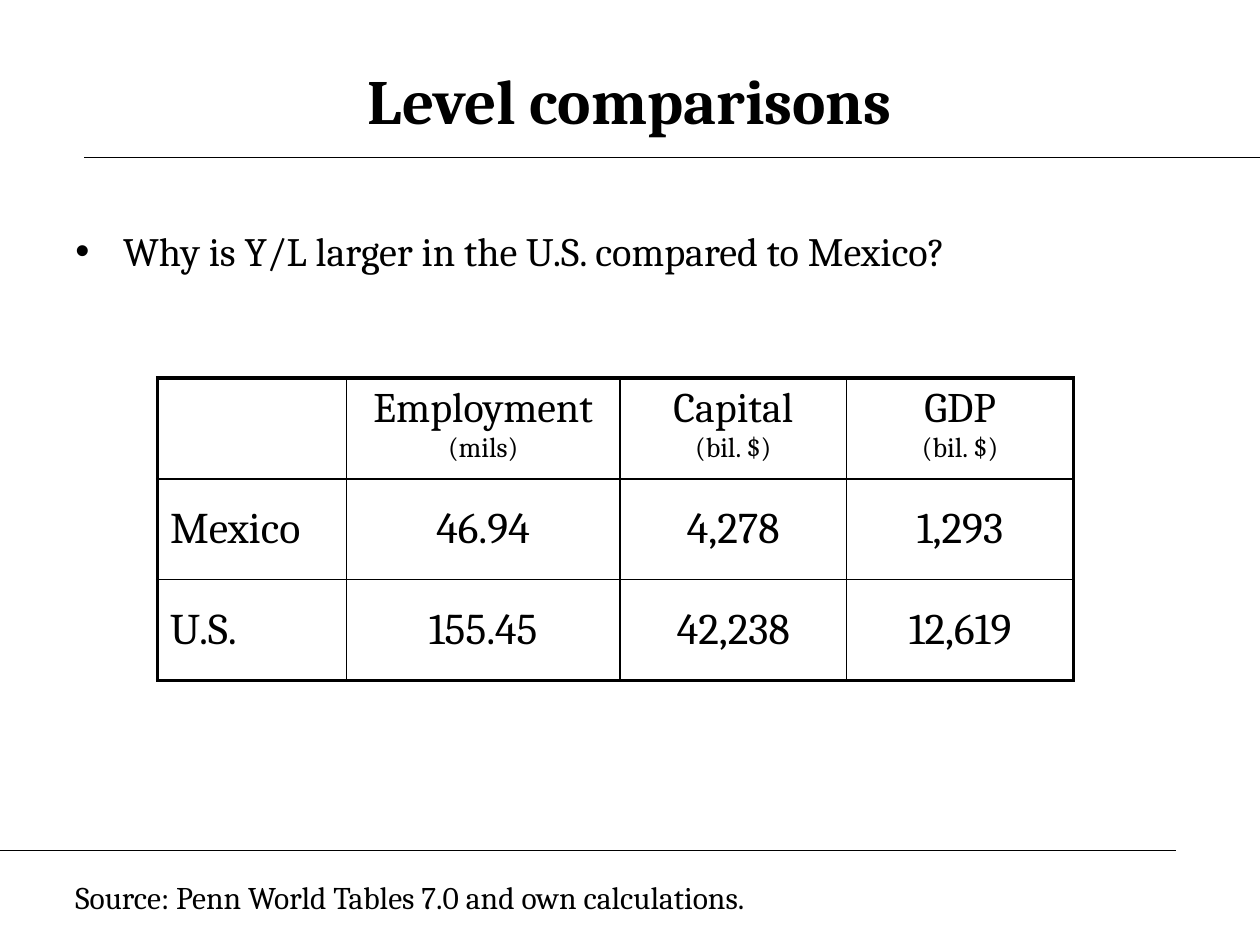
from pptx import Presentation
from pptx.dml.color import RGBColor
from pptx.enum.shapes import MSO_CONNECTOR as Connector
from pptx.enum.text import MSO_ANCHOR as Anchor, PP_ALIGN as Align
from pptx.oxml.ns import qn
from pptx.util import Inches, Pt
from lxml.etree import SubElement

BLACK = RGBColor(0x00, 0x00, 0x00)
FONT = "Cambria"
THIN, THICK = 1, 2.25

COLUMN_WIDTHS = [1.5, 2.17, 1.8, 1.8]
ROW_HEIGHT = 0.8
HEADINGS = [None, ("Employment", "(mils)"), ("Capital", "(bil. $)"), ("GDP", "(bil. $)")]
DATA = [
    ["Mexico", "46.94", "4,278", "1,293"],
    ["U.S.", "155.45", "42,238", "12,619"],
]


def add_text(paragraph, text, size=18, bold=False, align=Align.LEFT):
    paragraph.alignment = align
    run = paragraph.add_run()
    run.text = text
    run.font.name = FONT
    run.font.size = Pt(size)
    run.font.bold = bold
    run.font.color.rgb = BLACK


def add_bullet(paragraph, indent):
    properties = paragraph._p.get_or_add_pPr()
    properties.set("marL", str(Inches(indent)))
    properties.set("indent", str(-Inches(indent)))
    SubElement(properties, qn("a:buFont"), typeface="Arial")
    SubElement(properties, qn("a:buChar"), char="•")


def set_border(cell, side, width):
    line = SubElement(cell._tc.get_or_add_tcPr(), qn(f"a:ln{side}"), w=str(Pt(width)))
    fill = SubElement(line, qn("a:solidFill"))
    SubElement(fill, qn("a:srgbClr"), val=str(BLACK))


class SlideBuilder:
    def __init__(self, presentation):
        self.slide = presentation.slides.add_slide(presentation.slide_layouts[5])
        self.shapes = self.slide.shapes

    def rule(self, left, right, y):
        line = self.shapes.add_connector(
            Connector.STRAIGHT, Inches(left), Inches(y), Inches(right), Inches(y))
        line.line.color.rgb = BLACK
        line.line.width = Pt(0.75)
        SubElement(line._element.spPr, qn("a:effectLst"))

    def title(self, text, left, top, width, height):
        shape = self.shapes.title
        shape.left, shape.top = Inches(left), Inches(top)
        shape.width, shape.height = Inches(width), Inches(height)
        shape.text_frame.vertical_anchor = Anchor.MIDDLE
        add_text(shape.text_frame.paragraphs[0], text, size=36, bold=True, align=Align.CENTER)

    def text_box(self, text, left, top, width, height, size, bullet_indent=None):
        box = self.shapes.add_textbox(
            Inches(left), Inches(top), Inches(width), Inches(height))
        box.text_frame.word_wrap = True
        paragraph = box.text_frame.paragraphs[0]
        if bullet_indent:
            add_bullet(paragraph, bullet_indent)
        add_text(paragraph, text, size=size)

    def table(self, left, top):
        row_count, column_count = len(DATA) + 1, len(COLUMN_WIDTHS)
        table = self.shapes.add_table(
            row_count, column_count, Inches(left), Inches(top),
            Inches(sum(COLUMN_WIDTHS)), Inches(ROW_HEIGHT * row_count)).table
        table.first_row = table.horz_banding = False
        for column, width in zip(table.columns, COLUMN_WIDTHS):
            column.width = Inches(width)
        for row in table.rows:
            row.height = Inches(ROW_HEIGHT)

        # Thick outer frame, thin inner lines
        for row in range(row_count):
            for column in range(column_count):
                cell = table.cell(row, column)
                outer_sides = {"L": column == 0, "R": column == column_count - 1,
                               "T": row == 0, "B": row == row_count - 1}
                for side, is_outer in outer_sides.items():
                    set_border(cell, side, THICK if is_outer else THIN)
                cell.fill.background()

        # Headings with their units
        for column, heading in enumerate(HEADINGS):
            if heading:
                name, unit = heading
                paragraph = table.cell(0, column).text_frame.paragraphs[0]
                add_text(paragraph, name, size=24, align=Align.CENTER)
                paragraph.add_line_break()
                add_text(paragraph, unit, size=16, align=Align.CENTER)

        # Country rows
        for row, values in enumerate(DATA, start=1):
            for column, value in enumerate(values):
                cell = table.cell(row, column)
                cell.vertical_anchor = Anchor.MIDDLE
                add_text(cell.text_frame.paragraphs[0], value, size=25,
                         align=Align.CENTER if column else Align.LEFT)


def main():
    presentation = Presentation()
    presentation.slide_width, presentation.slide_height = Inches(10), Inches(7.5)
    builder = SlideBuilder(presentation)

    # Header and footer rules
    builder.rule(0.67, 10, 1.25)
    builder.rule(0, 9.33, 6.75)

    # Title, question, table and source
    builder.title("Level comparisons", 0.5, 0.33, 9, 0.92)
    builder.text_box("Why is Y/L larger in the U.S. compared to Mexico?",
                     0.5, 1.75, 9, 1, size=23, bullet_indent=0.38)
    builder.table(1.25, 3)
    builder.text_box("Source: Penn World Tables 7.0 and own calculations.",
                     0.5, 6.92, 6.15, 0.4, size=18)

    presentation.save("out.pptx")


if __name__ == "__main__":
    main()
